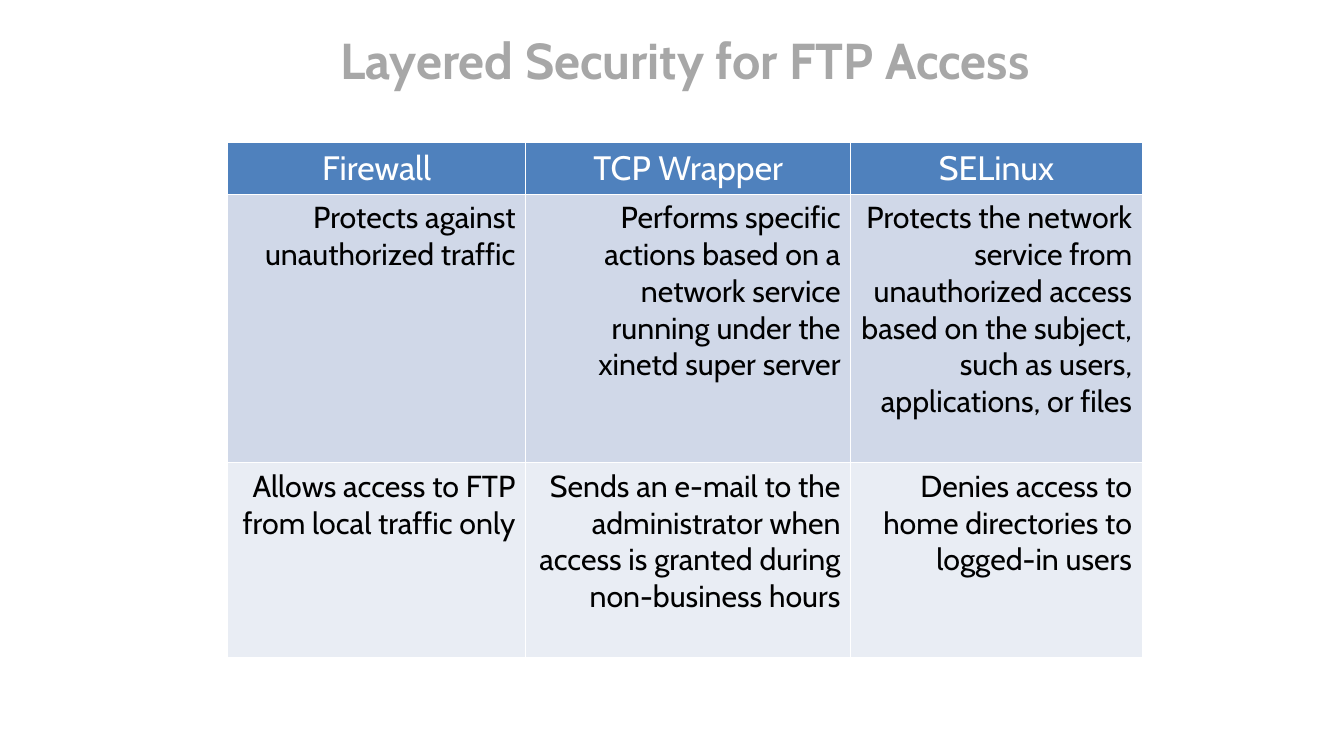
from dataclasses import dataclass

from lxml import etree
from pptx import Presentation
from pptx.dml.color import RGBColor
from pptx.enum.text import MSO_ANCHOR, PP_ALIGN
from pptx.oxml.ns import qn
from pptx.util import Inches, Pt

CENTER, RIGHT = PP_ALIGN.CENTER, PP_ALIGN.RIGHT
TOP, MIDDLE = MSO_ANCHOR.TOP, MSO_ANCHOR.MIDDLE
TITLE_ONLY = 5

LEFT, WIDTH = 2.71, 10.89
COLUMNS = [3.55, 3.87, 3.47]
ROWS = [0.6, 3.2, 2.32]
LAYERS = [
    ["Firewall", "TCP Wrapper", "SELinux"],
    [
        "Protects against unauthorized traffic",
        "Performs specific actions based on a network service running "
        "under the xinetd super server",
        "Protects the network service from unauthorized access based on "
        "the subject, such as users, applications, or files",
    ],
    [
        "Allows access to FTP from local traffic only",
        "Sends an e-mail to the administrator when access is granted "
        "during non-business hours",
        "Denies access to home directories to logged-in users",
    ],
]


@dataclass(frozen=True)
class Theme:
    font: str = "Cabin"
    title: str = "A7A7A7"
    header_text: str = "FFFFFF"
    body_text: str = "000000"
    border: str = "FFFFFF"
    row_fills: tuple = ("4F81BD", "D0D8E8", "E9EDF4")
    title_size: float = 43.2
    header_size: float = 29
    body_size: float = 26
    border_width: float = 1


class SlideBuilder:
    """Adds styled elements to one slide."""

    def __init__(self, prs, theme):
        self.theme = theme
        self.s = prs.slides.add_slide(prs.slide_layouts[TITLE_ONLY])

    def add_text(self, tf, text, size, color, align, bold=False):
        p = tf.paragraphs[0]
        p.alignment = align
        r = p.add_run()
        r.text = text
        font = {"name": self.theme.font, "size": Pt(size), "bold": bold}
        for name, value in font.items():
            setattr(r.font, name, value)
        r.font.color.rgb = RGBColor.from_string(color)

    def title(self, text, left, top, width, height):
        sp = self.s.shapes.title
        box = {"left": left, "top": top, "width": width, "height": height}
        for name, value in box.items():
            setattr(sp, name, Inches(value))
        tf = sp.text_frame
        frame = {"word_wrap": True, "vertical_anchor": MIDDLE}
        frame |= {f"margin_{side}": Inches(0.07)
                  for side in ("left", "top", "right", "bottom")}
        for name, value in frame.items():
            setattr(tf, name, value)
        self.add_text(tf, text, self.theme.title_size, self.theme.title,
                      CENTER, True)

    def borders(self, cell):
        tc_pr = cell._tc.get_or_add_tcPr()
        for side in "LRTB":
            ln = etree.SubElement(tc_pr, qn(f"a:ln{side}"),
                                  w=str(Pt(self.theme.border_width)))
            fill = etree.SubElement(ln, qn("a:solidFill"))
            etree.SubElement(fill, qn("a:srgbClr"), val=self.theme.border)

    def cell(self, cell, text, fill, size, color, align):
        self.borders(cell)
        cell.fill.solid()
        cell.fill.fore_color.rgb = RGBColor.from_string(fill)
        layout = {"margin_left": Inches(0.12), "margin_right": Inches(0.12),
                  "margin_top": Inches(0.06), "margin_bottom": Inches(0.06),
                  "vertical_anchor": TOP}
        for name, value in layout.items():
            setattr(cell, name, value)
        self.add_text(cell.text_frame, text, size, color, align)

    def table(self, data, left, top, columns, rows):
        table = self.s.shapes.add_table(
            len(rows), len(columns), Inches(left), Inches(top),
            Inches(sum(columns)), Inches(sum(rows))).table
        for column, width in zip(table.columns, columns):
            column.width = Inches(width)
        for row, height in zip(table.rows, rows):
            row.height = Inches(height)
        t = self.theme
        header = (t.header_size, t.header_text, CENTER)
        body = (t.body_size, t.body_text, RIGHT)
        for i, (texts, fill) in enumerate(zip(data, t.row_fills)):
            for j, text in enumerate(texts):
                self.cell(table.cell(i, j), text, fill,
                          *(body if i else header))


def main():
    prs = Presentation()
    prs.slide_width, prs.slide_height = Inches(16), Inches(9)
    slide = SlideBuilder(prs, Theme())
    slide.title("Layered Security for FTP Access", LEFT, 0.4, WIDTH, 0.62)
    slide.table(LAYERS, LEFT, 1.7, COLUMNS, ROWS)
    prs.save("out.pptx")


if __name__ == "__main__":
    main()
